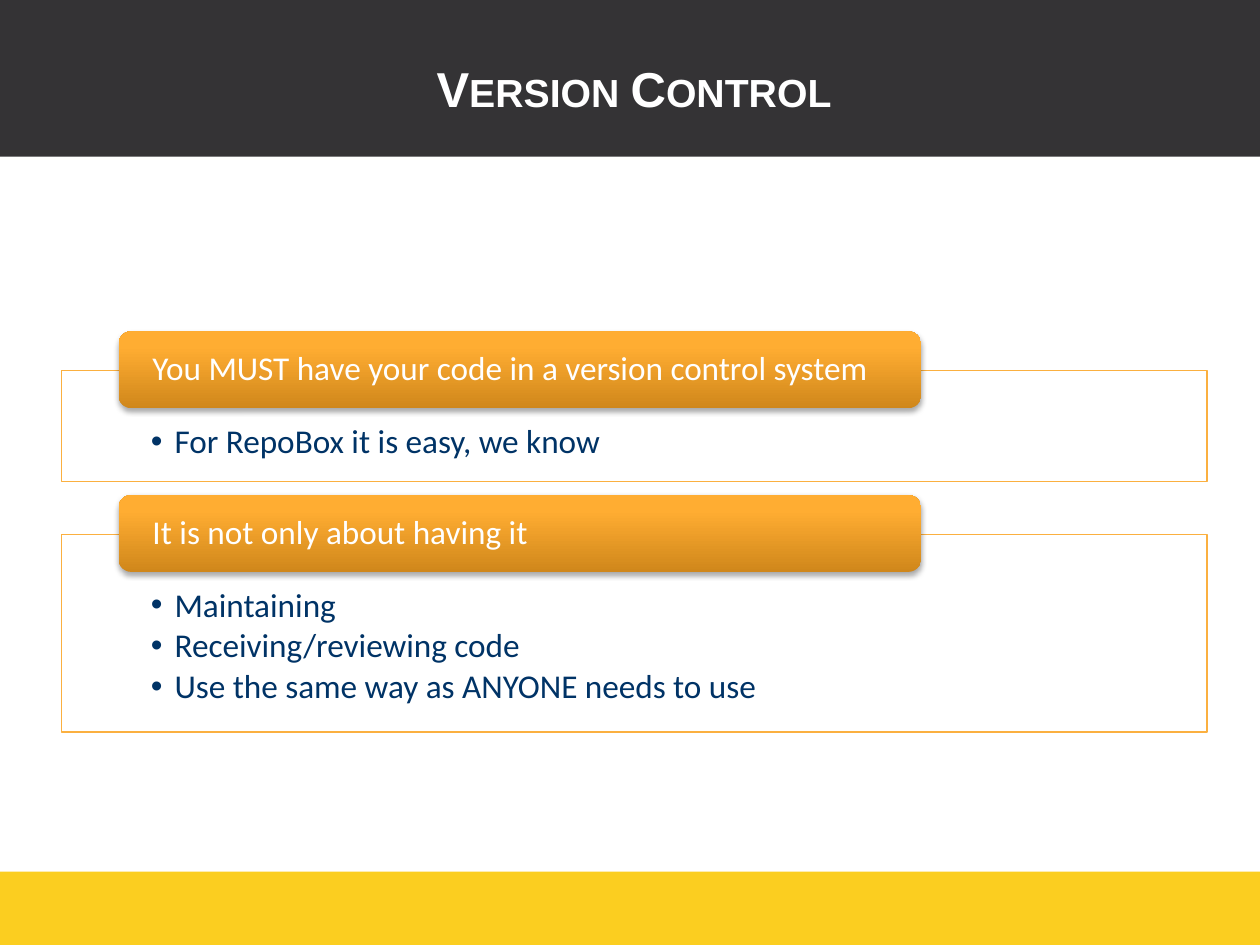
"""Build the Version Control slide: a title bar and two headed list panels."""
from dataclasses import dataclass

from lxml import etree
from pptx import Presentation
from pptx import util as u
from pptx.dml.color import RGBColor
from pptx.enum import shapes, text
from pptx.oxml import parse_xml
from pptx.oxml.ns import nsdecls, qn

COLORS = {
    "white": "FFFFFF",
    "charcoal": "343335",
    "yellow": "FBCE20",
    "border": "FBB040",
    "navy": "003366",
    "orange_dark": "D0871B",
    "orange": "FFAD32",
    "orange_light": "FFAD34",
    "shadow": "000000",
}
SLIDE_WIDTH, SLIDE_HEIGHT = 25.4, 19.05
PANEL_LEFT, PANEL_WIDTH, FIRST_PANEL_TOP, PANEL_GAP = 1.24, 23.09, 7.47, 1.06
HEADING_LEFT, HEADING_WIDTH, HEADING_HEIGHT, HEADING_RISE = 2.39, 16.18, 1.55, 0.79
BULLET_INDENT = 0.48


@dataclass(frozen=True)
class Section:
    heading: str
    points: tuple[str, ...]
    height: float


SECTIONS = (
    Section("You MUST have your code in a version control system",
            ("For RepoBox it is easy, we know",), 2.24),
    Section("It is not only about having it",
            ("Maintaining", "Receiving/reviewing code",
             "Use the same way as ANYONE needs to use"), 3.99),
)


def rgb(name: str) -> RGBColor:
    return RGBColor.from_string(COLORS[name])


def place(shape, left: float, top: float, width: float, height: float) -> None:
    shape.left, shape.top = u.Cm(left), u.Cm(top)
    shape.width, shape.height = u.Cm(width), u.Cm(height)


def write_text(shape, *lines: str, color: str, size: float = 19, font: str = "Calibri",
               bold: bool = False, small_caps: bool = False, bullets: bool = False,
               align=text.PP_ALIGN.LEFT, anchor=text.MSO_ANCHOR.MIDDLE,
               insets: tuple = (0.25, 0.13, 0.25, 0.13),
               spacing: float = 0.9, after: float = 0) -> None:
    frame = shape.text_frame
    frame.word_wrap = True
    frame.auto_size = text.MSO_AUTO_SIZE.NONE
    frame.vertical_anchor = anchor
    (frame.margin_left, frame.margin_top,
     frame.margin_right, frame.margin_bottom) = map(u.Cm, insets)
    frame.text = "\n".join(lines)
    for paragraph in frame.paragraphs:
        paragraph.alignment = align
        paragraph.line_spacing = spacing
        paragraph.space_before, paragraph.space_after = u.Pt(0), u.Pt(after)
        if bullets:
            paragraph.level = 1
            properties = paragraph._p.get_or_add_pPr()
            properties.set("marL", str(u.Cm(BULLET_INDENT)))
            properties.set("indent", str(-u.Cm(BULLET_INDENT)))
            etree.SubElement(properties, qn("a:buChar"), char="•")
        for run in paragraph.runs:
            run.font.name, run.font.size, run.font.bold = font, u.Pt(size), bold
            run.font.color.rgb = rgb(color)
            if small_caps:
                run._r.get_or_add_rPr().set("cap", "small")


def add_band(slide, top: float, height: float, color: str):
    band = slide.shapes.add_shape(shapes.MSO_SHAPE.RECTANGLE, u.Cm(0), u.Cm(top),
                                  u.Cm(SLIDE_WIDTH), u.Cm(height))
    band.shadow.inherit = False
    band.fill.solid()
    band.fill.fore_color.rgb = rgb(color)
    band.line.fill.background()
    return band


def style_heading(heading) -> None:
    heading.shadow.inherit = False
    heading.line.fill.background()
    properties = heading.element.spPr
    stops = "".join(
        f'<a:gs pos="{position * 1000}"><a:srgbClr val="{COLORS[name]}"/></a:gs>'
        for position, name in ((0, "orange_dark"), (80, "orange"), (100, "orange_light")))
    properties.find(qn("a:prstGeom")).addnext(parse_xml(
        f'<a:gradFill {nsdecls("a")} rotWithShape="1"><a:gsLst>{stops}</a:gsLst>'
        '<a:lin ang="16200000" scaled="0"/></a:gradFill>'))
    properties.find(qn("a:effectLst")).append(parse_xml(
        f'<a:outerShdw {nsdecls("a")} blurRad="{u.Pt(3.1)}" dist="{u.Pt(1.8)}" '
        f'dir="5400000" rotWithShape="0"><a:srgbClr val="{COLORS["shadow"]}">'
        '<a:alpha val="35000"/></a:srgbClr></a:outerShdw>'))


def add_section(slide, panel, section: Section, top: float) -> None:
    place(panel, PANEL_LEFT, top, PANEL_WIDTH, section.height)
    panel.fill.solid()
    panel.fill.fore_color.rgb = rgb("white")
    panel.line.color.rgb = rgb("border")
    panel.line.width = u.Pt(0.75)
    write_text(panel, *section.points, color="navy", bullets=True, after=2.85,
               anchor=text.MSO_ANCHOR.TOP, insets=(1.8, 1.09, 1.8, 0.38))
    heading = slide.shapes.add_shape(
        shapes.MSO_SHAPE.ROUNDED_RECTANGLE, u.Cm(HEADING_LEFT), u.Cm(top - HEADING_RISE),
        u.Cm(HEADING_WIDTH), u.Cm(HEADING_HEIGHT))
    style_heading(heading)
    write_text(heading, section.heading, color="white", insets=(0.61, 0, 0.61, 0))


def main() -> None:
    presentation = Presentation()
    presentation.slide_width = u.Cm(SLIDE_WIDTH)
    presentation.slide_height = u.Cm(SLIDE_HEIGHT)
    slide = presentation.slides.add_slide(presentation.slide_layouts.get_by_name("Two Content"))
    title, *panels = slide.placeholders

    footer = add_band(slide, 17.57, 1.48, "yellow")
    header = add_band(slide, 0, 3.16, "charcoal")
    for band in (footer, header):
        title.element.addprevious(band.element)

    place(title, PANEL_LEFT, 0.41, PANEL_WIDTH, 2.74)
    write_text(title, "Version Control", color="white", size=28, font="Arial", bold=True,
               small_caps=True, align=text.PP_ALIGN.CENTER, spacing=1.0)

    top = FIRST_PANEL_TOP
    for panel, section in zip(panels, SECTIONS):
        add_section(slide, panel, section, top)
        top += section.height + PANEL_GAP

    presentation.save("out.pptx")


if __name__ == "__main__":
    main()
